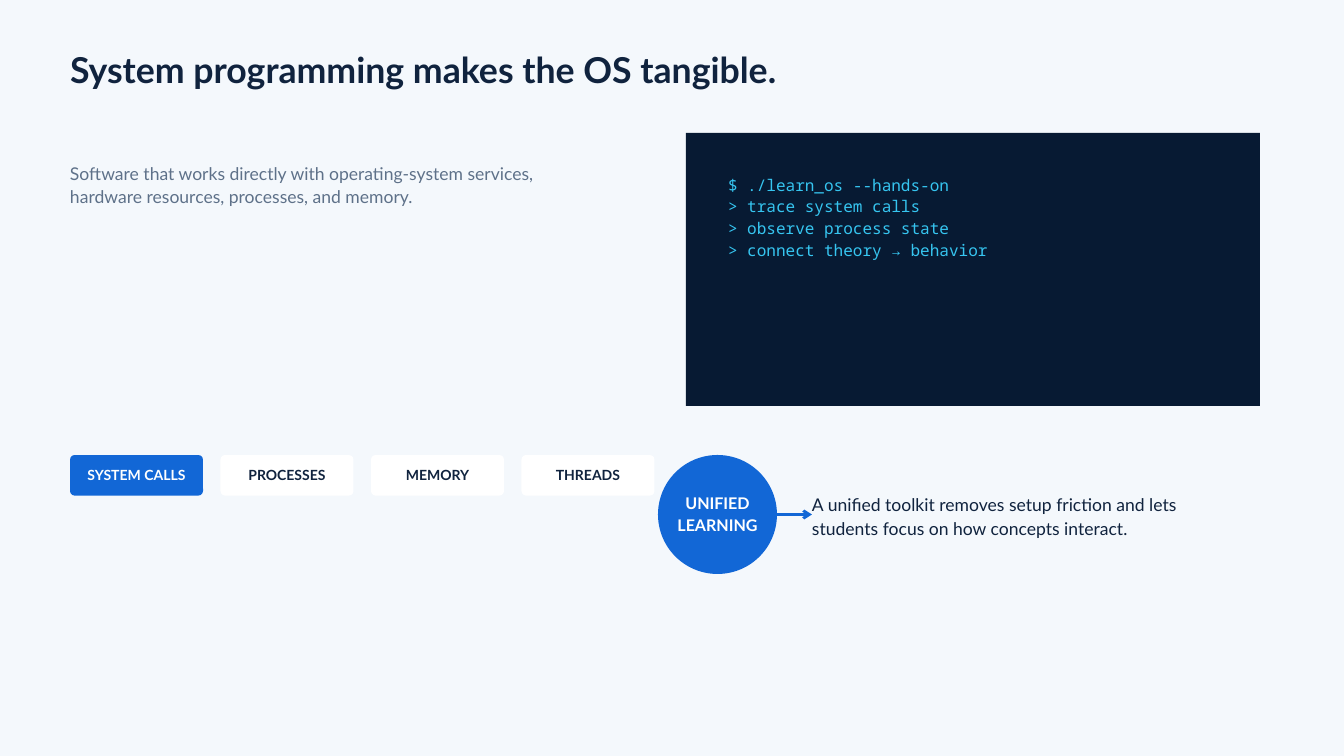
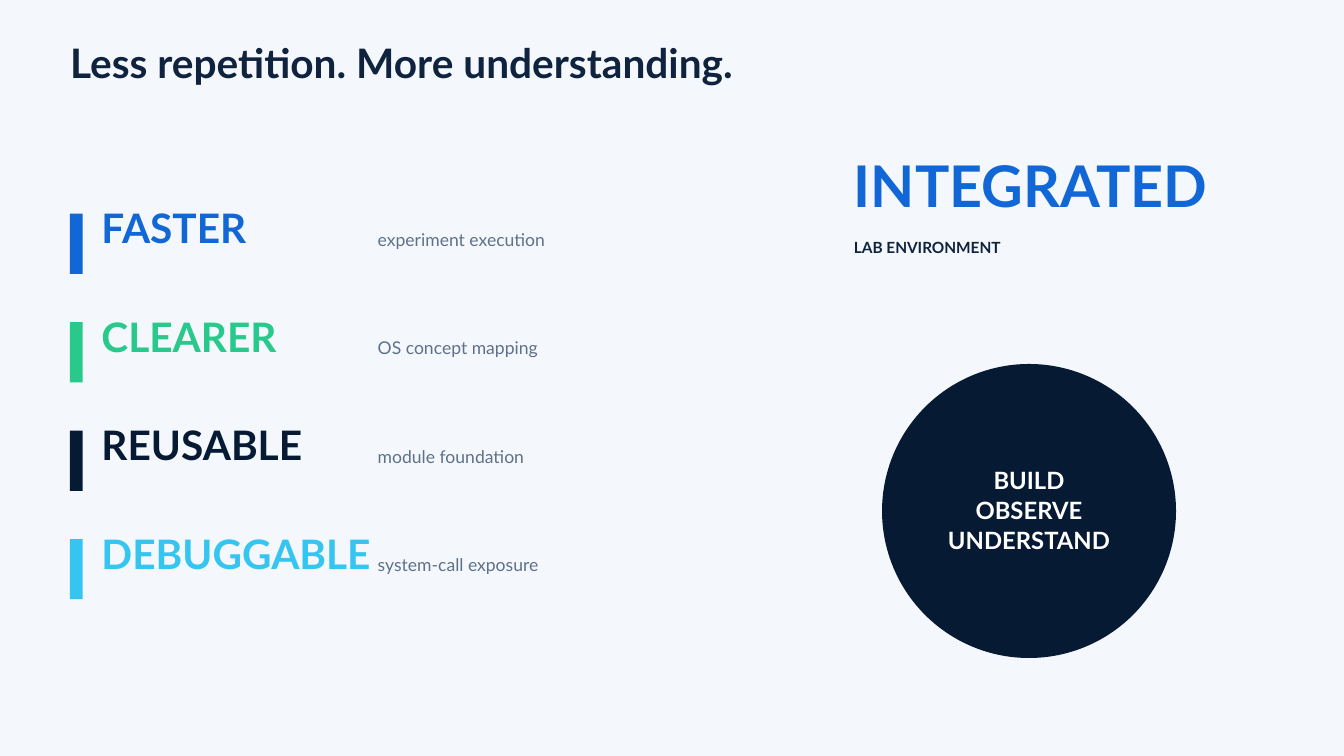
import pptx
import pptx.util
import pptx.dml.color
import pptx.enum.shapes
import pptx.enum.text
import pptx.oxml

Pt = pptx.util.Pt
SHAPE = pptx.enum.shapes.MSO_SHAPE
ALIGN = pptx.enum.text.PP_ALIGN
ANCHOR = pptx.enum.text.MSO_ANCHOR

PALE, WHITE, INK, NAVY = "F4F8FC", "FFFFFF", "10233E", "071A33"
BLUE, CYAN, GREEN, GREY = "1267D6", "36C5F0", "28C98B", "5E7189"
SANS, MONO = "Lato", "Noto Sans Mono"
LEFT = 75

TANGIBLE = {
    "title": "System programming makes the OS tangible.",
    "intro": "Software that works directly with operating-system services, "
             "hardware resources, processes, and memory.",
    "terminal": [
        "$ ./learn_os --hands-on",
        "> trace system calls",
        "> observe process state",
        "> connect theory → behavior",
    ],
    "topics": ["SYSTEM CALLS", "PROCESSES", "MEMORY", "THREADS"],
    "hub": ["UNIFIED", "LEARNING"],
    "result": "A unified toolkit removes setup friction and lets "
              "students focus on how concepts interact.",
}

BENEFITS = {
    "title": "Less repetition. More understanding.",
    "rows": [
        ("FASTER", "experiment execution", BLUE),
        ("CLEARER", "OS concept mapping", GREEN),
        ("REUSABLE", "module foundation", NAVY),
        ("DEBUGGABLE", "system-call exposure", CYAN),
    ],
    "headline": "INTEGRATED",
    "caption": "LAB ENVIRONMENT",
    "circle": ["BUILD", "OBSERVE", "UNDERSTAND"],
}


def rgb(value):
    return pptx.dml.color.RGBColor.from_string(value)


def write(tf, lines, size, leading, color, bold=False, font=SANS,
          align=ALIGN.LEFT, anchor=ANCHOR.TOP, wrap=True, lift=0):
    tf.auto_size = pptx.enum.text.MSO_AUTO_SIZE.NONE
    tf.word_wrap = wrap
    tf.vertical_anchor = anchor
    tf.margin_left = tf.margin_right = tf.margin_top = 0
    tf.margin_bottom = Pt(lift)
    for i, line in enumerate(lines):
        p = tf.add_paragraph() if i else tf.paragraphs[0]
        p.alignment = align
        p.line_spacing = Pt(leading)
        r = p.add_run()
        r.text = line
        r.font.name = font
        r.font.size = Pt(size)
        r.font.bold = bold
        r.font.color.rgb = rgb(color)


def add_text(s, box, lines, size, leading, color, **style):
    sp = s.shapes.add_textbox(*map(Pt, box))
    write(sp.text_frame, lines, size, leading, color, **style)


def add_body(s, box, text, color):
    add_text(s, box, [text], 18.8, 25.3, color)


def add_block(s, kind, box, fill):
    sp = s.shapes.add_shape(kind, *map(Pt, box))
    sp.shadow.inherit = False
    sp.fill.solid()
    sp.fill.fore_color.rgb = rgb(fill)
    sp.line.fill.background()
    return sp


def add_label(s, kind, box, fill, lines, size, leading, color=WHITE, lift=0):
    sp = add_block(s, kind, box, fill)
    write(sp.text_frame, lines, size, leading, color, bold=True,
          align=ALIGN.CENTER, anchor=ANCHOR.MIDDLE, wrap=False, lift=lift)
    return sp


def add_arrow(s, x1, x2, y, color, width):
    sp = s.shapes.add_connector(pptx.enum.shapes.MSO_CONNECTOR.STRAIGHT,
                                Pt(x1), Pt(y), Pt(x2), Pt(y))
    sp.line.color.rgb = rgb(color)
    sp.line.width = Pt(width)
    ns = 'xmlns:a="http://schemas.openxmlformats.org/drawingml/2006/main"'
    sp.line._get_or_add_ln().append(
        pptx.oxml.parse_xml(f'<a:tailEnd {ns} type="arrow"/>'))
    sp._element.spPr.append(pptx.oxml.parse_xml(f"<a:effectLst {ns}/>"))


def add_slide(prs, title, box, size, leading):
    s = prs.slides.add_slide(prs.slide_layouts.get_by_name("Title Only"))
    sp = s.shapes.title
    sp.left, sp.top, sp.width, sp.height = map(Pt, box)
    write(sp.text_frame, [title], size, leading, INK, bold=True)
    return s


def build_tangible(prs):
    c = TANGIBLE
    s = add_slide(prs, c["title"], (LEFT, 55.5, 840, 49), 38.2, 41.3)
    add_body(s, (LEFT, 171.5, 570, 48), c["intro"], GREY)

    add_block(s, SHAPE.RECTANGLE, (735, 142.5, 615, 292.5), NAVY)
    add_text(s, (780, 185, 525, 93), c["terminal"], 17.2, 23.3, CYAN, font=MONO)

    top, width, height, gap, radius = 487.5, 142.5, 43.5, 18.75, 5
    for i, topic in enumerate(c["topics"]):
        fill, color = (WHITE, INK) if i else (BLUE, WHITE)
        box = (LEFT + i * (width + gap), top, width, height)
        sp = add_label(s, SHAPE.ROUNDED_RECTANGLE, box, fill, [topic],
                       15, 17.2, color)
        sp.adjustments[0] = radius / height

    hub, size, result = 705, 127.5, 870
    add_label(s, SHAPE.OVAL, (hub, top, size, size), BLUE, c["hub"],
              17.2, 24.1, lift=4)
    add_arrow(s, hub + size, result, top + size / 2, BLUE, 3)
    add_body(s, (result, 527, 435, 48), c["result"], INK)


def build_benefits(prs):
    c = BENEFITS
    s = add_slide(prs, c["title"], (LEFT, 46, 937.5, 55), 43.5, 47)
    column = 915
    add_text(s, (column, 172, 420, 74), [c["headline"]], 61.5, 62.7, BLUE, bold=True)
    add_text(s, (column, 255, 420, 20), [c["caption"]], 16.5, 19.8, INK, bold=True)

    top, pitch = 229, 116.2
    for i, (word, detail, color) in enumerate(c["rows"]):
        y = top + i * pitch
        add_block(s, SHAPE.RECTANGLE, (LEFT, y, 13.5, 64.5), color)
        add_text(s, (108.75, y - 6.25, 487.5, 54), [word], 43.5, 47, color, bold=True)
        add_body(s, (404.75, y + 13.5, 390, 23), detail, GREY)

    add_label(s, SHAPE.OVAL, (945, 390, 315, 315), NAVY, c["circle"],
              25.5, 31.9, lift=3)


def main():
    prs = pptx.Presentation()
    prs.slide_width, prs.slide_height = Pt(1440), Pt(810)
    fill = prs.slide_master.background.fill
    fill.solid()
    fill.fore_color.rgb = rgb(PALE)
    build_tangible(prs)
    build_benefits(prs)
    prs.save("out.pptx")


if __name__ == "__main__":
    main()
